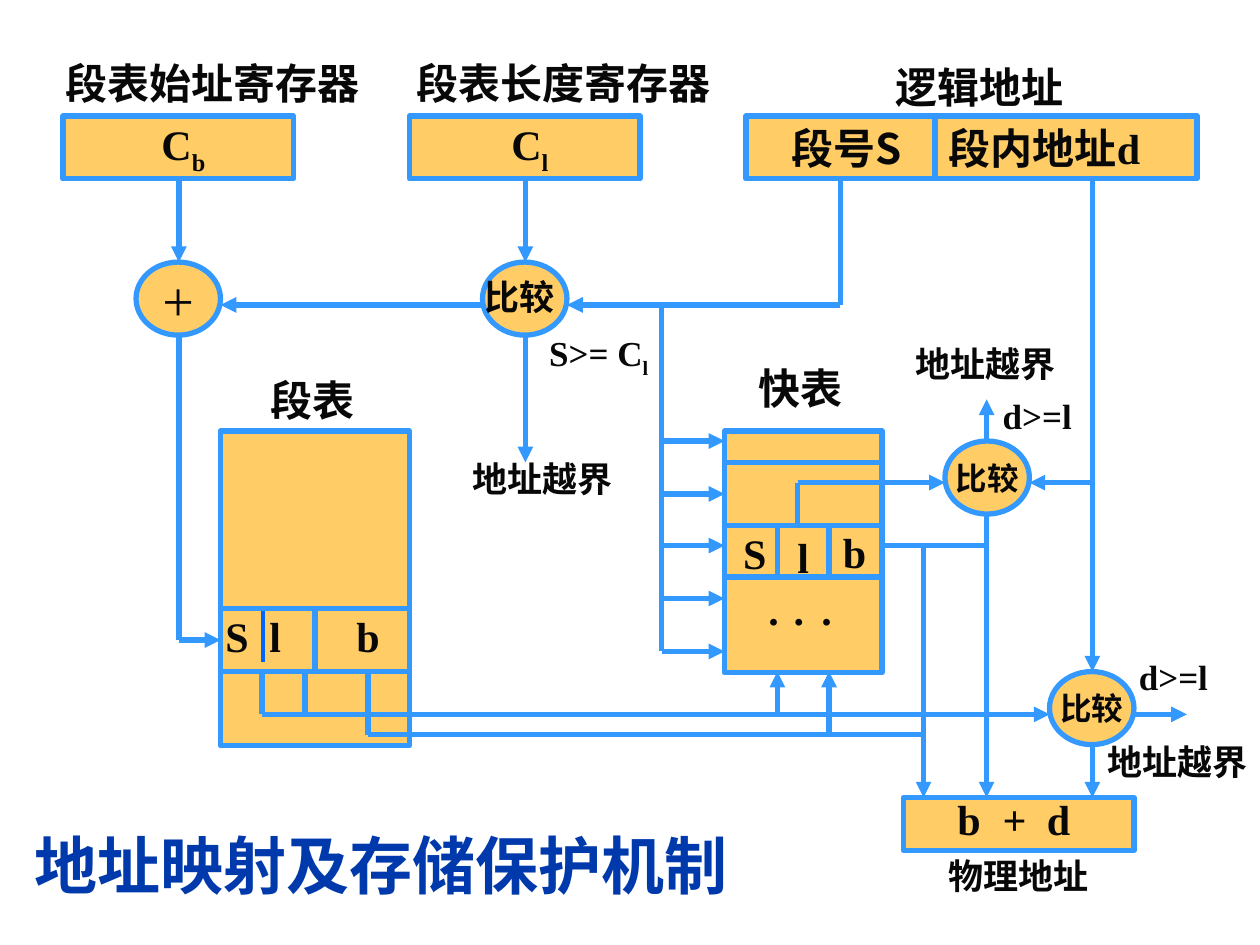
from itertools import pairwise

from lxml.etree import SubElement as Sub
from pptx import Presentation
from pptx.dml.color import RGBColor
from pptx.enum.shapes import MSO_CONNECTOR as Link, MSO_SHAPE as Kind
from pptx.enum.text import MSO_ANCHOR as Anchor, MSO_AUTO_SIZE as Fit, PP_ALIGN as Align
from pptx.oxml.ns import qn
from pptx.util import Inches, Pt

SERIF, SANS = "Times New Roman", "Noto Sans CJK SC"
INK, BLUE, GOLD = "080808", "3399FF", "FFCC66"


def tint(code):
    return RGBColor.from_string(code)


def add_run(para, text, size=24, font=SERIF, color=INK, bold=True, sub=False):
    run = para.add_run()
    run.text = text
    run.font.size, run.font.bold, run.font.name = Pt(size), bold, font
    run.font.color.rgb = tint(color)
    props = run._r.get_or_add_rPr()
    Sub(props, qn("a:ea"), typeface=SANS)
    if sub:
        props.set("baseline", "-25000")


def write(shape, text, align=Align.LEFT, anchor=Anchor.TOP, wrap=False,
          inset=0.1, tabs=(), sub="", **look):
    """Fill a shape with one paragraph; sub is a subscript, tabs are in inches."""
    frame = shape.text_frame
    frame.word_wrap, frame.vertical_anchor = wrap, anchor
    frame.auto_size = Fit.NONE
    frame.margin_left = Inches(inset)
    para = frame.paragraphs[0]
    para.alignment = align
    if tabs:
        stops = Sub(para._p.get_or_add_pPr(), qn("a:tabLst"))
        for stop in tabs:
            Sub(stops, qn("a:tab"), pos=str(Inches(stop)), algn="l")
    add_run(para, text, **look)
    if sub:
        add_run(para, sub, sub=True, **look)
    return para


def label(slide, text, x, y, w, h=0.5, **look):
    box = slide.shapes.add_textbox(Inches(x), Inches(y), Inches(w), Inches(h))
    write(box, text, **look)


def block(slide, x, y, w, h, kind=Kind.RECTANGLE):
    shape = slide.shapes.add_shape(kind, Inches(x), Inches(y), Inches(w), Inches(h))
    shape.shadow.inherit = False
    shape.fill.solid()
    shape.fill.fore_color.rgb = tint(GOLD)
    shape.line.color.rgb = tint(BLUE)
    shape.line.width = Pt(3)
    return shape


def node(slide, x, y, text="", **look):
    shape = block(slide, x, y, 0.67, 0.58, Kind.OVAL)
    if text:
        write(shape, text, align=Align.CENTER, anchor=Anchor.MIDDLE, **look)


def wire(slide, *points, arrow=False, color=BLUE, width=3):
    """Join the points with straight lines; the arrow goes on the last one."""
    for start, end in pairwise(points):
        line = slide.shapes.add_connector(
            Link.STRAIGHT, *(Inches(v) for v in start + end))
        line.line.color.rgb = tint(color)
        line.line.width = Pt(width)
        props = line._element.spPr
        if arrow and end == points[-1]:
            Sub(props.find(qn("a:ln")), qn("a:tailEnd"), type="triangle")
        Sub(props, qn("a:effectLst"))


def registers(slide):
    for x, name, sub, left in ((0.5, "段表始址寄存器", "b", 0.42),
                               (3.25, "段表长度寄存器", "l", 3.21)):
        write(block(slide, x, 0.92, 1.83, 0.5), "C", sub=sub, inset=0.18,
              align=Align.CENTER, anchor=Anchor.MIDDLE)
        label(slide, name, left, 0.41, 2.53)
        wire(slide, (x + 0.92, 1.42), (x + 0.92, 2.08), arrow=True)
    label(slide, "逻辑地址", 7.01, 0.44, 1.53)
    para = write(block(slide, 5.92, 0.92, 3.58, 0.5), "段号S\t段内地址", font=SANS,
                 wrap=True, inset=0.36, tabs=[1.25], anchor=Anchor.MIDDLE)
    add_run(para, "d")
    wire(slide, (7.42, 0.92), (7.42, 1.42))


def segment_table(slide):
    label(slide, "段表", 2.05, 2.92, 0.86)
    block(slide, 1.75, 3.42, 1.5, 2.5)
    for y in (4.83, 5.33):
        wire(slide, (1.75, y), (3.25, y))
    wire(slide, (2.5, 4.83), (2.5, 5.33))
    wire(slide, (2.09, 4.85), (2.09, 5.25), color="0066FF", width=2.25)
    label(slide, "S\tl", 1.69, 4.8, 0.71, wrap=True, tabs=[0.35])
    label(slide, "b", 2.73, 4.8, 0.38)


def fast_table(slide):
    label(slide, "快表", 5.92, 2.83, 0.86)
    block(slide, 5.75, 3.42, 1.25, 1.92)
    for y in (3.67, 4.17, 4.58):
        wire(slide, (5.75, y), (7, y))
    for x in (6.17, 6.58):
        wire(slide, (x, 4.17), (x, 4.58))
    for text, x, y in (("S", 5.8, 4.14), ("l", 6.23, 4.17), ("b", 6.59, 4.13)):
        label(slide, text, x, y, 0.38)
    for x in (6, 6.2, 6.42):
        label(slide, ".", x, 4.58, 0.28)


def checks(slide):
    node(slide, 1.08, 2.08, "+", size=32, bold=False)
    node(slide, 3.83, 2.08)
    label(slide, "比较", 3.75, 2.14, 0.75, 0.44, size=20)
    for x, y in ((7.5, 3.5), (8.33, 5.33)):
        node(slide, x, y, "比较", size=18)
    label(slide, "S>= C", 4.26, 2.58, 0.99, 0.48, sub="l", size=20)
    for x, y in ((7.86, 3.08), (8.94, 5.15)):
        label(slide, "d>=l", x, y, 0.75, 0.44, size=20)
    for x, y in ((3.65, 3.58), (7.17, 2.67), (8.69, 5.83)):
        label(slide, "地址越界", x, y, 1.31, 0.44, size=20)


def result(slide):
    block(slide, 7.17, 6.33, 1.83, 0.42)
    label(slide, "b\t+\td", 7.5, 6.25, 1.4, wrap=True, tabs=[0.36, 0.71])
    label(slide, "物理地址", 7.43, 6.73, 1.31, 0.44, size=20)


def wires(slide):
    plain = (
        [(5.25, 2.42), (5.25, 5.17)],
        [(2.42, 5.33), (2.42, 5.67)],
        [(2.92, 5.33), (2.92, 5.83), (7.33, 5.83)],
        [(7, 4.33), (7.83, 4.33)],
    )
    arrows = (
        [(4.17, 2.67), (4.17, 3.67)],
        [(3.83, 2.42), (1.75, 2.42)],
        [(6.67, 1.42), (6.67, 2.42), (4.5, 2.42)],
        [(1.42, 2.67), (1.42, 5.08), (1.75, 5.08)],
        [(7.83, 4.08), (7.83, 6.33)],
        [(7.83, 3.5), (7.83, 3.17)],
        [(8.67, 1.42), (8.67, 5.33)],
        [(8.67, 3.83), (8.17, 3.83)],
        [(8.67, 5.92), (8.67, 6.33)],
        [(9, 5.67), (9.42, 5.67)],
        [(2.08, 5.33), (2.08, 5.67), (8.33, 5.67)],
        [(7.33, 4.33), (7.33, 6.33)],
        [(6.33, 4.17), (6.33, 3.83), (7.5, 3.83)],
        [(6.17, 5.67), (6.17, 5.33)],
        [(6.58, 5.83), (6.58, 5.33)],
    )
    for points in plain:
        wire(slide, *points)
    for points in arrows:
        wire(slide, *points, arrow=True)
    for y in (3.5, 3.92, 4.33, 4.75, 5.17):
        wire(slide, (5.25, y), (5.75, y), arrow=True)


def heading(slide):
    title = slide.shapes.title
    title.left, title.top = Inches(0.17), Inches(6.58)
    title.width, title.height = Inches(5.92), Inches(0.83)
    para = write(title, "地址映射及存储保护机制", size=36, font="Arial",
                 color="0039AC", wrap=True)
    para.line_spacing = 0.9


def main():
    deck = Presentation()
    deck.slide_width, deck.slide_height = Inches(10), Inches(7.5)
    slide = deck.slides.add_slide(deck.slide_layouts[5])
    for draw in (heading, registers, segment_table, fast_table, checks, result, wires):
        draw(slide)
    deck.save("out.pptx")


if __name__ == "__main__":
    main()
